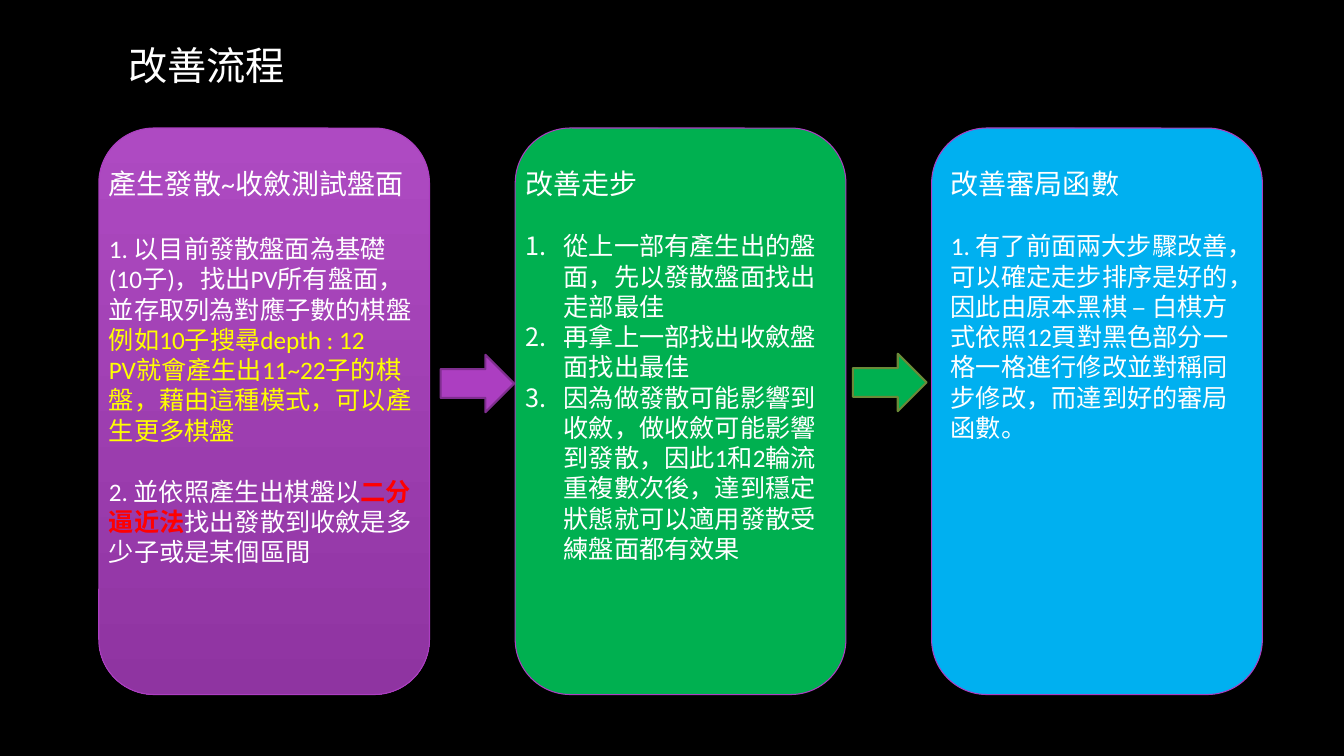
from dataclasses import dataclass

from lxml import etree
from pptx import Presentation
from pptx import util as u
from pptx.dml import color
from pptx.enum import shapes, text
from pptx.oxml import ns


@dataclass(frozen=True)
class Theme:
    font: str = "Calibri"
    title: int = 28
    head: int = 20
    body: int = 18
    gap: int = 22
    black: str = "000000"
    white: str = "FFFFFF"
    yellow: str = "FFFF00"
    red: str = "FF0000"
    edge: str = "AC3EC1"
    purple: tuple = ("AE4AC2", "8F34A1")
    green: str = "00B050"
    blue: str = "00B0F0"
    plum: str = "7F2E8F"
    olive: str = "6B8A38"


T = Theme()
WHITE, YELLOW, RED = T.white, T.yellow, T.red

# Each paragraph: space before, numbered, runs of (words, colour)
PLAN = [
    (24, False, [("1. 以目前發散盤面為基礎 (10子)，找出PV所有盤面，並存取列為對應子數的棋盤", WHITE)]),
    (0, False, [("例如10子搜尋depth : 12", YELLOW)]),
    (0, False, [("PV就會產生出11~22子的棋盤，藉由這種模式，可以產生更多棋盤", YELLOW)]),
    (T.gap, False, [("2. 並依照產生出棋盤以", WHITE), ("二分逼近法", RED),
                    ("找出發散到收斂是多少子或是某個區間", WHITE)]),
]
MOVES = [
    (T.gap, True, [("從上一部有產生出的盤面，先以發散盤面找出走部最佳", WHITE)]),
    (0, True, [("再拿上一部找出收斂盤面找出最佳", WHITE)]),
    (0, True, [("因為做發散可能影響到收斂，做收斂可能影響到發散，因此1和2輪流重複數次後，"
                "達到穩定狀態就可以適用發散受練盤面都有效果", WHITE)]),
]
SCORE = [
    (T.gap, False, [("1. 有了前面兩大步驟改善，可以確定走步排序是好的，因此由原本黑棋 – 白棋方式"
                     "依照12頁對黑色部分一格一格進行修改並對稱同步修改，而達到好的審局函數。", WHITE)]),
]
# Heading, paragraphs, fill, text inset, text width
CARDS = [
    ("產生發散~收斂測試盤面", PLAN, T.purple, 0, 3.28),
    ("改善走步", MOVES, T.green, 0, 3.28),
    ("改善審局函數", SCORE, T.blue, 0.09, 3.03),
]
# Left, top, fill, line
ARROWS = [
    (4.37, 3.52, T.edge, T.plum),
    (8.46, 3.51, T.green, T.olive),
]


def rgb(code):
    return color.RGBColor.from_string(code)


def place(shape, box):
    shape.left, shape.top, shape.width, shape.height = map(u.Inches, box)


def add_run(para, words, size, tint=T.white, bold=False):
    run = para.add_run()
    run.text = words
    font = run.font
    font.name, font.size, font.bold = T.font, u.Pt(size), bold
    font.color.rgb = rgb(tint)


def set_para(para, before=0, number=False):
    para.alignment = text.PP_ALIGN.LEFT
    para.space_before, para.space_after = u.Pt(before), u.Pt(0)
    props = para._p.get_or_add_pPr()
    dent = u.Inches(0.38) if number else 0
    props.set("marL", str(dent))
    props.set("indent", str(-dent))
    if number:
        etree.SubElement(props, ns.qn("a:buAutoNum"), type="arabicPeriod")
    else:
        etree.SubElement(props, ns.qn("a:buNone"))


def set_frame(frame):
    frame.word_wrap = True
    frame.auto_size = text.MSO_AUTO_SIZE.NONE
    frame.vertical_anchor = text.MSO_ANCHOR.TOP


def paint(slide, kind, box, fill, line, width):
    shape = slide.shapes.add_shape(kind, *map(u.Inches, box))
    shape.shadow.inherit = False
    if isinstance(fill, tuple):
        shape.fill.gradient()
        shape.fill.gradient_angle = 270
        for stop, tint, spot in zip(shape.fill.gradient_stops, fill, (0, 1)):
            stop.color.rgb = rgb(tint)
            stop.position = spot
    else:
        shape.fill.solid()
        shape.fill.fore_color.rgb = rgb(fill)
    shape.line.color.rgb = rgb(line)
    shape.line.width = u.Pt(width)


def add_title(title, box, words):
    place(title, box)
    set_frame(title.text_frame)
    para = title.text_frame.paragraphs[0]
    para.alignment = text.PP_ALIGN.LEFT
    add_run(para, words, T.title)


def add_card(slide, body, box, card):
    head, paras, fill, inset, wide = card
    left, top, _, high = box
    paint(slide, shapes.MSO_SHAPE.ROUNDED_RECTANGLE, box, fill, T.edge, 0.75)

    # Text lies in front of its card
    body.element.getparent().append(body.element)
    place(body, (left + inset, top + 0.33, wide, high - 1.5))
    frame = body.text_frame
    set_frame(frame)
    para = frame.paragraphs[0]
    set_para(para)
    add_run(para, head, T.head)
    for before, number, runs in paras:
        para = frame.add_paragraph()
        set_para(para, before, number)
        for words, tint in runs:
            add_run(para, words, T.body, tint, tint == T.red)


def add_flow(slide, bodies, box):
    left, top, wide, high = box
    step = 4.13
    for i, (body, card) in enumerate(zip(bodies, CARDS)):
        add_card(slide, body, (left + i * step, top, wide, high), card)
    for x, y, fill, line in ARROWS:
        paint(slide, shapes.MSO_SHAPE.RIGHT_ARROW, (x, y, 0.73, 0.57), fill, line, 1.5)


def main():
    deck = Presentation()
    deck.slide_width, deck.slide_height = u.Inches(13.33), u.Inches(7.5)
    slide = deck.slides.add_slide(deck.slide_layouts.get_by_name("Comparison"))
    slide.background.fill.solid()
    slide.background.fill.fore_color.rgb = rgb(T.black)

    # Three of the four body placeholders carry the cards
    title, *bodies = slide.placeholders
    spare = bodies.pop().element
    spare.getparent().remove(spare)

    add_title(title, (1.17, 0.36, 11, 0.57), "改善流程")
    add_flow(slide, bodies, (0.98, 1.27, 3.28, 5.62))
    deck.save("out.pptx")


if __name__ == "__main__":
    main()
